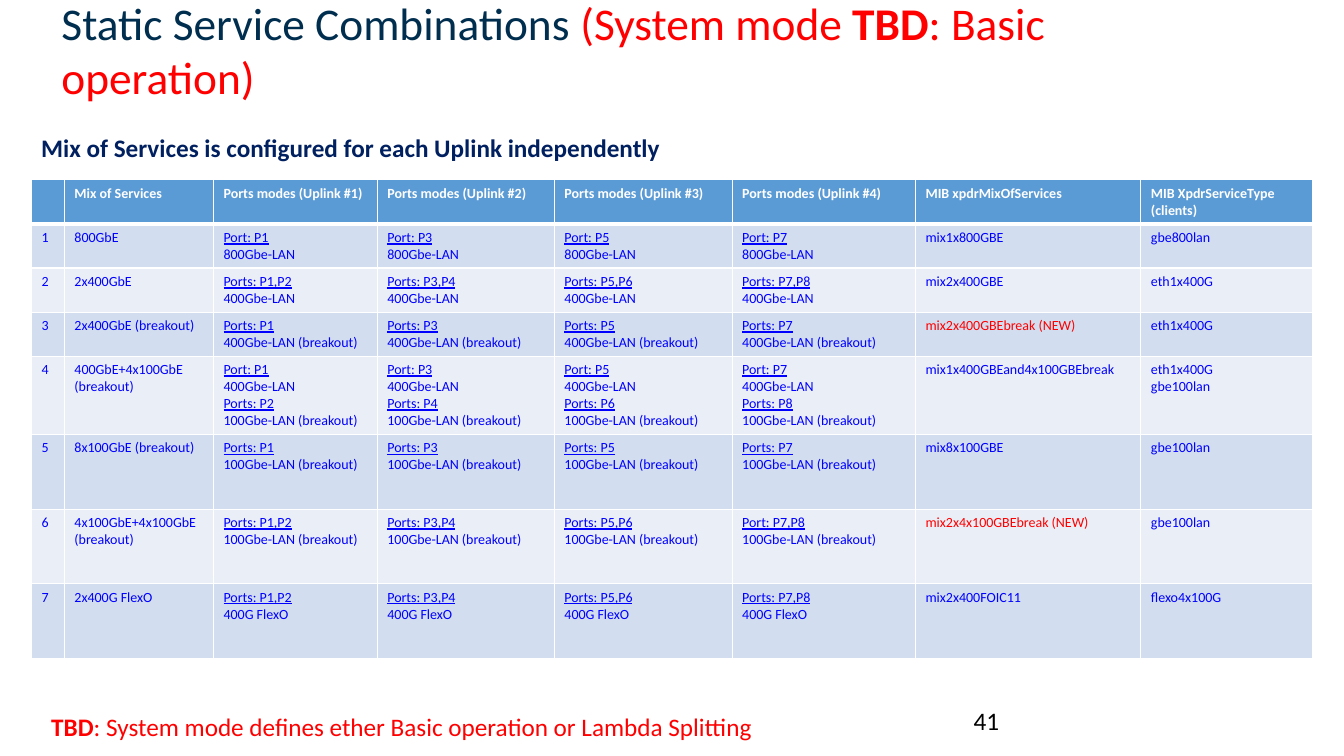
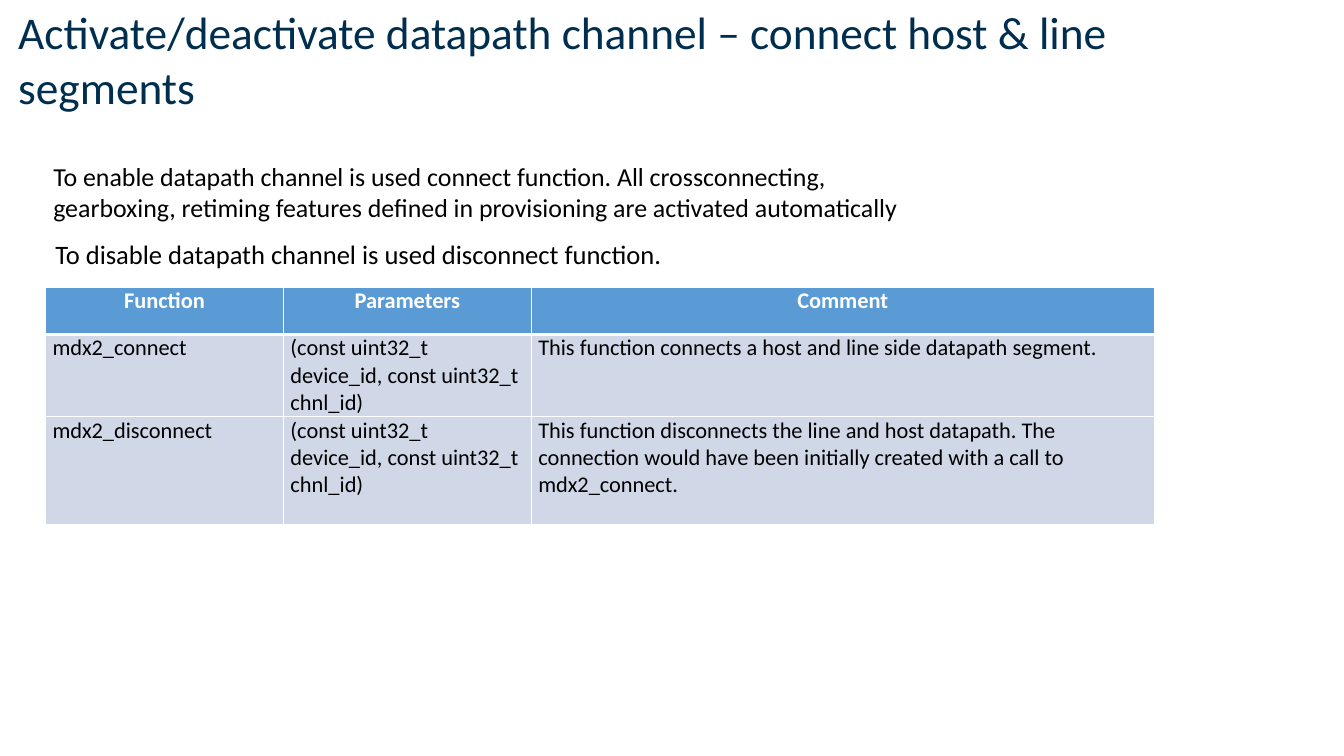
import pptx
import pptx.dml.color
import pptx.enum.text
import pptx.oxml
import pptx.oxml.ns
import pptx.util

Pt = pptx.util.Pt
PP_ALIGN = pptx.enum.text.PP_ALIGN
AUTO_SIZE = pptx.enum.text.MSO_AUTO_SIZE

FONT = "Calibri"
TITLE_SIZE = 32.4
COLORS = {
    "title": "002E4F", "red": "FF0000", "navy": "002060", "blue": "0000FF",
    "black": "000000", "white": "FFFFFF", "header": "5B9BD5",
    "band_dark": "D2DEEF", "band_light": "EAEFF7", "function_row": "D0D8E8",
}

UPLINKS = range(1, 5)
# Service mix, port lines ({a} and {b} are an uplink's two ports), MIB mix, MIB service types
SERVICES = [
    ("800GbE", ["Port: P{a}", "800Gbe-LAN"], "mix1x800GBE", ["gbe800lan"]),
    ("2x400GbE", ["Ports: P{a},P{b}", "400Gbe-LAN"], "mix2x400GBE", ["eth1x400G"]),
    ("2x400GbE (breakout)", ["Ports: P{a}", "400Gbe-LAN (breakout)"],
     "mix2x400GBEbreak (NEW)", ["eth1x400G"]),
    ("400GbE+4x100GbE (breakout)",
     ["Port: P{a}", "400Gbe-LAN", "Ports: P{b}", "100Gbe-LAN (breakout)"],
     "mix1x400GBEand4x100GBEbreak", ["eth1x400G", "gbe100lan"]),
    ("8x100GbE (breakout)", ["Ports: P{a}", "100Gbe-LAN (breakout)"],
     "mix8x100GBE", ["gbe100lan"]),
    ("4x100GbE+4x100GbE (breakout)", ["Ports: P{a},P{b}", "100Gbe-LAN (breakout)"],
     "mix2x4x100GBEbreak (NEW)", ["gbe100lan"]),
    ("2x400G FlexO", ["Ports: P{a},P{b}", "400G FlexO"], "mix2x400FOIC11", ["flexo4x100G"]),
]
PORT_EXCEPTIONS = {(6, 4): ["Port: P7,P8", "100Gbe-LAN (breakout)"]}

FUNCTIONS = [
    ("mdx2_connect", "(const uint32_t device_id, const uint32_t chnl_id)",
     "This function connects a host and line side datapath segment."),
    ("mdx2_disconnect", "(const uint32_t device_id, const uint32_t chnl_id)",
     "This function disconnects the line and host datapath. The connection would "
     "have been initially created with a call to mdx2_connect."),
]


def rgb(name):
    return pptx.dml.color.RGBColor.from_string(COLORS[name])


def add_run(p, text, size, color, bold=False, underline=False):
    r = p.add_run()
    r.text = text
    r.font.name = FONT
    r.font.size = Pt(size)
    r.font.bold = bold
    r.font.underline = underline
    r.font.color.rgb = rgb(color)


def add_title_slide(prs, box, runs):
    """Add a title-only slide; each run is text, colour, bold."""
    s = prs.slides.add_slide(prs.slide_layouts[5])
    sp = s.shapes.title
    sp.left, sp.top, sp.width, sp.height = map(Pt, box)
    tf = sp.text_frame
    tf.word_wrap = True
    tf.auto_size = AUTO_SIZE.NONE
    tf.vertical_anchor = pptx.enum.text.MSO_ANCHOR.MIDDLE
    p = tf.paragraphs[0]
    p.alignment = PP_ALIGN.LEFT
    for text, color, bold in runs:
        add_run(p, text, TITLE_SIZE, color, bold)
    return s


def add_text(s, box, runs, size, wrap=False):
    """Add a one-paragraph text box; each run is text, colour, bold."""
    tf = s.shapes.add_textbox(*map(Pt, box)).text_frame
    tf.word_wrap = wrap
    tf.auto_size = AUTO_SIZE.NONE if wrap else AUTO_SIZE.SHAPE_TO_FIT_TEXT
    for text, color, bold in runs:
        add_run(tf.paragraphs[0], text, size, color, bold)


def set_borders(cell, top, bottom):
    tc_pr = cell._tc.get_or_add_tcPr()
    for side, width in (("L", 1), ("R", 1), ("T", top), ("B", bottom)):
        tc_pr.append(pptx.oxml.parse_xml(
            f'<a:ln{side} {pptx.oxml.ns.nsdecls("a")} w="{Pt(width)}"><a:solidFill>'
            f'<a:srgbClr val="{COLORS["white"]}"/></a:solidFill></a:ln{side}>'))


def add_table(s, left, top, widths, heights, rows, size, color, bands,
              margins=None, header_align=PP_ALIGN.LEFT):
    """Add a table with a header row; a cell is a list of text lines."""
    table = s.shapes.add_table(len(rows), len(widths), Pt(left), Pt(top),
                               Pt(sum(widths)), Pt(sum(heights))).table
    table.horz_banding = False
    for column, width in zip(table.columns, widths):
        column.width = Pt(width)
    for i, (lines_by_cell, height) in enumerate(zip(rows, heights)):
        table.rows[i].height = Pt(height)
        header = i == 0
        for j, lines in enumerate(lines_by_cell):
            cell = table.cell(i, j)
            set_borders(cell, top=3 if i == 1 else 1, bottom=3 if header else 1)
            cell.fill.solid()
            cell.fill.fore_color.rgb = rgb("header" if header else bands[(i - 1) % len(bands)])
            if margins:
                cell.margin_left = cell.margin_right = Pt(margins[0])
                cell.margin_top = cell.margin_bottom = Pt(margins[1])
            tf = cell.text_frame
            for k, line in enumerate(lines):
                p = tf.add_paragraph() if k else tf.paragraphs[0]
                p.alignment = header_align if header else PP_ALIGN.LEFT
                if header:
                    add_run(p, line, size, "white", bold=True)
                else:
                    add_run(p, line, size, "red" if "(NEW)" in line else color,
                            underline=line.startswith("Port"))


def service_rows():
    header = [[], ["Mix of Services"]]
    header += [[f"Ports modes (Uplink #{n})"] for n in UPLINKS]
    header += [["MIB xpdrMixOfServices"], ["MIB XpdrServiceType (clients)"]]
    rows = [header]
    for i, (mix, ports, mib, types) in enumerate(SERVICES, 1):
        modes = [[line.format(a=2 * n - 1, b=2 * n)
                  for line in PORT_EXCEPTIONS.get((i, n), ports)] for n in UPLINKS]
        rows.append([[str(i)], [mix], *modes, [mib], types])
    return rows


def build_services(prs):
    s = add_title_slide(prs, (36.7, 11.5, 856.8, 47.5), [
        ("Static Service Combinations ", "title", False),
        ("(System mode ", "red", False),
        ("TBD", "red", True),
        (": Basic operation)", "red", False)])
    add_text(s, (688.3, 500.4, 223.9, 28.8), [("41", "black", False)], 18, wrap=True)
    add_table(s, 22.5, 128.5, [23.5, 106.5, 117, 126.5, 127, 131, 161, 122.5],
              [31] * 4 + [56] + [53.3] * 3, service_rows(), 10, "blue",
              ["band_dark", "band_light"])
    add_text(s, (29.5, 504.7, 522, 29), [
        ("TBD", "red", True),
        (": System mode defines ether Basic operation or Lambda Splitting", "red", False)], 18)
    add_text(s, (22.3, 90.7, 464.4, 29), [
        ("Mix of Services is configured for each Uplink independently", "navy", True)], 18)


def build_datapath(prs):
    s = add_title_slide(prs, (5.8, 6.5, 917.3, 71.3), [
        ("Activate/deactivate datapath channel – connect host & line segments",
         "title", False)])
    rows = [[[text] for text in row]
            for row in [("Function", "Parameters", "Comment"), *FUNCTIONS]]
    add_table(s, 32.5, 205.2, [170, 177, 445], [33.8, 58.6, 77], rows, 16, "black",
              ["function_row"], margins=(5, 0), header_align=PP_ALIGN.CENTER)
    add_text(s, (31, 110.9, 648, 69.8), [
        ("To enable datapath channel is used connect function. All crossconnecting, "
         "gearboxing, retiming features defined in provisioning are activated "
         "automatically", "black", False)], 18.5, wrap=True)
    add_text(s, (32.4, 166.3, 457.2, 30.2), [
        ("To disable datapath channel is used disconnect function.", "black", False)], 19)


def main():
    prs = pptx.Presentation()
    prs.slide_width, prs.slide_height = Pt(960), Pt(540)
    build_services(prs)
    build_datapath(prs)
    prs.save("out.pptx")


if __name__ == "__main__":
    main()
